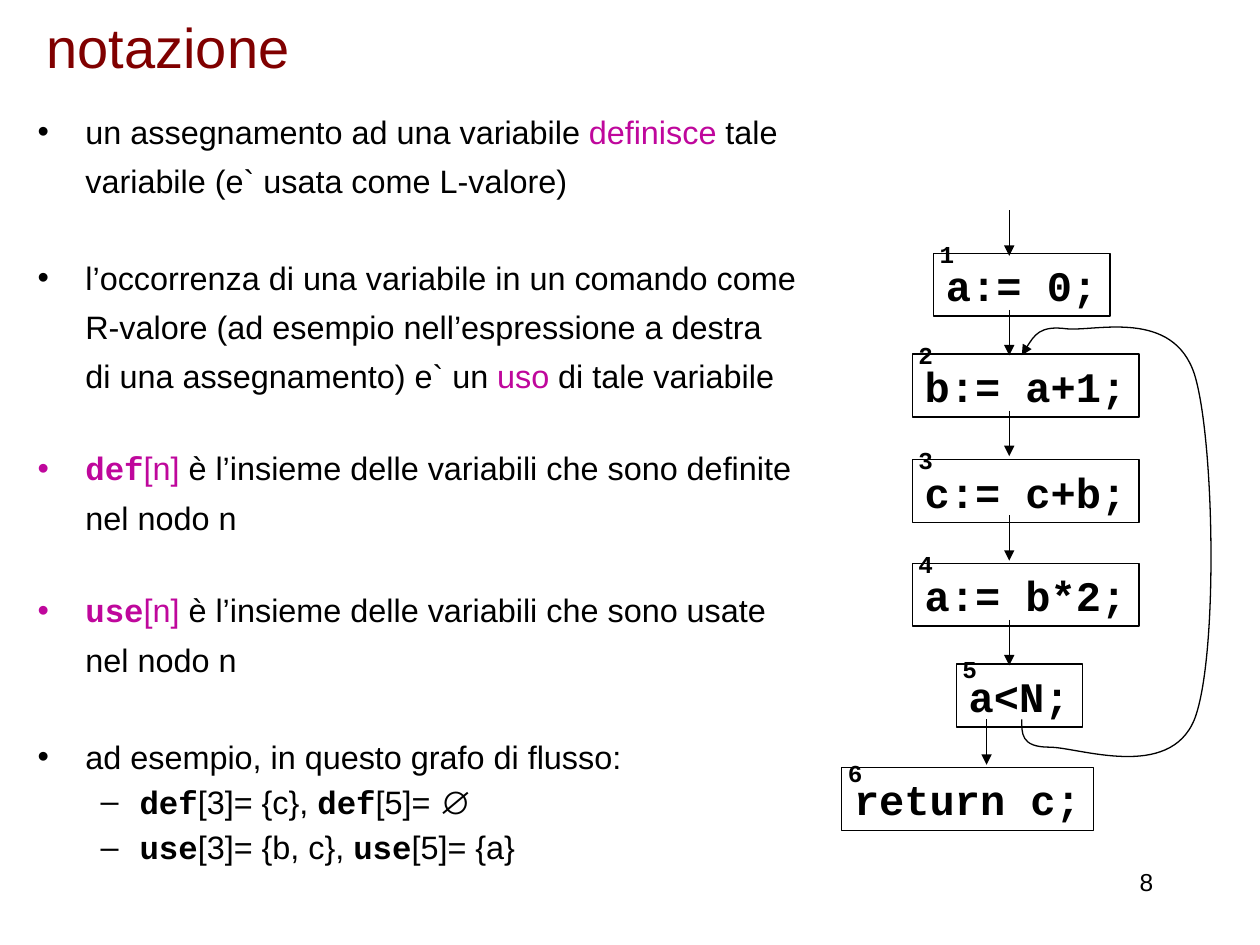
from dataclasses import dataclass

from lxml import etree
from pptx import Presentation
from pptx.dml.color import RGBColor
from pptx.enum.shapes import MSO_CONNECTOR, MSO_SHAPE
from pptx.enum.text import MSO_ANCHOR, MSO_AUTO_SIZE, PP_ALIGN
from pptx.oxml.ns import qn
from pptx.util import Inches, Pt

RECT = MSO_SHAPE.RECTANGLE
STRAIGHT = MSO_CONNECTOR.STRAIGHT
TOP, MIDDLE = MSO_ANCHOR.TOP, MSO_ANCHOR.MIDDLE
LEFT, RIGHT = PP_ALIGN.LEFT, PP_ALIGN.RIGHT
GROW, FIXED = MSO_AUTO_SIZE.SHAPE_TO_FIT_TEXT, MSO_AUTO_SIZE.NONE


@dataclass
class Theme:
    ink: str = "000000"
    head: str = "800000"
    mark: str = "BF079C"
    sans: str = "Arial"
    mono: str = "Courier New"
    title: float = 32
    body: float = 18.5
    code: float = 24
    page: float = 14
    line: float = 0.75
    lead: float = 5.9
    gap: float = 33


class Deck:
    """Draws styled elements on the current slide."""

    def __init__(self, theme):
        self.theme = theme
        self.prs = Presentation()
        self.prs.slide_width, self.prs.slide_height = Inches(10), Inches(7.5)
        self.slide = self.prs.slides.add_slide(self.prs.slide_layouts[5])
        self.shapes = self.slide.shapes

    def style(self, run, size, color=None, mono=False):
        font = run.font
        font.size, font.bold = Pt(size), mono
        font.name = self.theme.mono if mono else self.theme.sans
        font.color.rgb = RGBColor.from_string(color or self.theme.ink)

    def text(self, shape, words, size, color=None, mono=False, align=LEFT):
        shape.text_frame.text = words
        para = shape.text_frame.paragraphs[0]
        para.alignment = align
        self.style(para.runs[0], size, color, mono)
        return para.runs[0]

    def stroke(self, shape, arrow=True):
        line = shape.line
        line.color.rgb = RGBColor.from_string(self.theme.ink)
        line.width = Pt(self.theme.line)
        if arrow:
            edge = shape._element.spPr.find(qn("a:ln"))
            etree.SubElement(edge, qn("a:tailEnd"), type="triangle")

    def title(self, words, *area):
        shape = self.shapes.title
        shape.left, shape.top, shape.width, shape.height = map(Inches, area)
        self.text(shape, words, self.theme.title, self.theme.head)
        shape.text_frame.vertical_anchor = MIDDLE
        shape.text_frame.auto_size = FIXED

    def label(self, words, *area):
        box = self.shapes.add_textbox(*map(Inches, area))
        box.text_frame.word_wrap = True
        self.text(box, words, self.theme.page, align=RIGHT)

    def bullet(self, para, char, color, left, hang):
        props = para._p.get_or_add_pPr()
        props.set("marL", str(Inches(left)))
        props.set("indent", str(Inches(-hang if char else 0)))
        if char:
            fill = etree.SubElement(props, qn("a:buClr"))
            etree.SubElement(fill, qn("a:srgbClr"), val=color)
            etree.SubElement(props, qn("a:buFont"), typeface=self.theme.sans)
            etree.SubElement(props, qn("a:buChar"), char=char)

    def body(self, rows, *area):
        frame = self.shapes.add_textbox(*map(Inches, area)).text_frame
        frame.word_wrap = True
        for i, (char, runs) in enumerate(rows):
            para = frame.add_paragraph() if i else frame.paragraphs[0]
            color = runs[0][1] or self.theme.ink
            left, hang = (0.81, 0.31) if char == "–" else (0.38, 0.38)
            self.bullet(para, char, color, left, hang)
            if i:
                para.space_before = Pt(self.theme.gap if char == "•" else self.theme.lead)
            if runs[0][2]:
                para.line_spacing = 0.9
            for words, tint, mono in runs:
                run = para.add_run()
                run.text = words
                self.style(run, self.theme.body, tint, mono)

    def fit(self, shape):
        frame = shape.text_frame
        frame.word_wrap, frame.auto_size = False, GROW
        frame.vertical_anchor = TOP

    def node(self, words, left, top, width):
        box = self.shapes.add_shape(RECT, *map(Inches, (left, top, width, 0.5)))
        box.shadow.inherit = False
        box.fill.background()
        self.stroke(box, arrow=False)
        self.text(box, words, self.theme.code, mono=True)
        self.fit(box)

    def index(self, words, left, top):
        box = self.shapes.add_textbox(*map(Inches, (left, top, 0.31, 0.5)))
        run = self.text(box, words, self.theme.code, mono=True)
        run._r.get_or_add_rPr().set("baseline", "30000")
        self.fit(box)

    def arrow(self, x, top):
        ends = map(Inches, (x, top, x, top + 0.36))
        line = self.shapes.add_connector(STRAIGHT, *ends)
        self.stroke(line)
        etree.SubElement(line._element.spPr, qn("a:effectLst"))

    def curve(self, points):
        spots = [(Inches(x), Inches(y)) for x, y in points]
        pen = self.shapes.build_freeform(*spots[0])
        pen.add_line_segments(spots[1:], close=False)
        shape = pen.convert_to_shape()
        shape.shadow.inherit = False
        shape.fill.background()
        self.stroke(shape)
        track = next(shape._element.iter(qn("a:path")))
        legs = track.findall(qn("a:lnTo"))
        for i in range(0, len(legs), 3):
            bend = etree.SubElement(track, qn("a:cubicBezTo"))
            for leg in legs[i:i + 3]:
                bend.append(leg[0])
                track.remove(leg)


def plain(words):
    return words, None, False


def code(words, color=None):
    return words, color, True


def main():
    theme = Theme()
    deck = Deck(theme)
    mark = theme.mark
    deck.title("notazione", 0.27, 0, 8.5, 0.73)

    rows = [
        ("•", [plain("un assegnamento ad una variabile "),
               ("definisce", mark, False), plain(" tale")]),
        ("", [plain("variabile (e` usata come L-valore)")]),
        ("•", [plain("l’occorrenza di una variabile in un comando come")]),
        ("", [plain("R-valore (ad esempio nell’espressione a destra")]),
        ("", [plain("di una assegnamento) e` un "), ("uso", mark, False),
              plain(" di tale variabile")]),
    ]
    for name, verb in (("def", "definite"), ("use", "usate")):
        rows += [
            ("•", [code(name, mark), ("[n]", mark, False),
                   plain(f" è l’insieme delle variabili che sono {verb}")]),
            ("", [plain("nel nodo n")]),
        ]
    rows.append(("•", [plain("ad esempio, in questo grafo di flusso:")]))
    for name, third, fifth in (("def", "{c}", "∅"), ("use", "{b, c}", "{a}")):
        rows.append(("–", [code(name), plain(f"[3]= {third}, "),
                           code(name), plain(f"[5]= {fifth}")]))
    deck.body(rows, 0.2, 0.84, 6.47, 6.43)

    nodes = [
        ("a:= 0;", 7.41, 2.01, 1.4, 1.81),
        ("b:= a+1;", 7.24, 2.81, 1.8, 2.61),
        ("c:= c+b;", 7.24, 3.65, 1.8, 3.44),
        ("a:= b*2;", 7.24, 4.47, 1.8, 4.27),
        ("a<N;", 7.59, 5.27, 1, 5.1),
        ("return c;", 6.68, 6.09, 2, 5.93),
    ]
    for i, (words, left, top, width, rise) in enumerate(nodes, 1):
        deck.node(words, left, top, width)
        deck.index(str(i), left - 0.05, rise)
    for top in (1.67, 2.46, 3.26, 4.09, 4.92):
        deck.arrow(8.01, top)
    deck.arrow(7.83, 5.71)
    deck.curve([
        (8.11, 5.71), (8.11, 5.82), (8.1, 5.93), (8.33, 5.93),
        (8.56, 5.93), (9.28, 6.2), (9.48, 5.71),
        (9.67, 5.22), (9.64, 3.48), (9.48, 2.97),
        (9.31, 2.45), (8.7, 2.63), (8.47, 2.61),
        (8.25, 2.58), (8.18, 2.7), (8.11, 2.82),
    ])
    deck.label("8", 7.17, 6.83, 2.08, 0.5)
    deck.prs.save("out.pptx")


if __name__ == "__main__":
    main()
